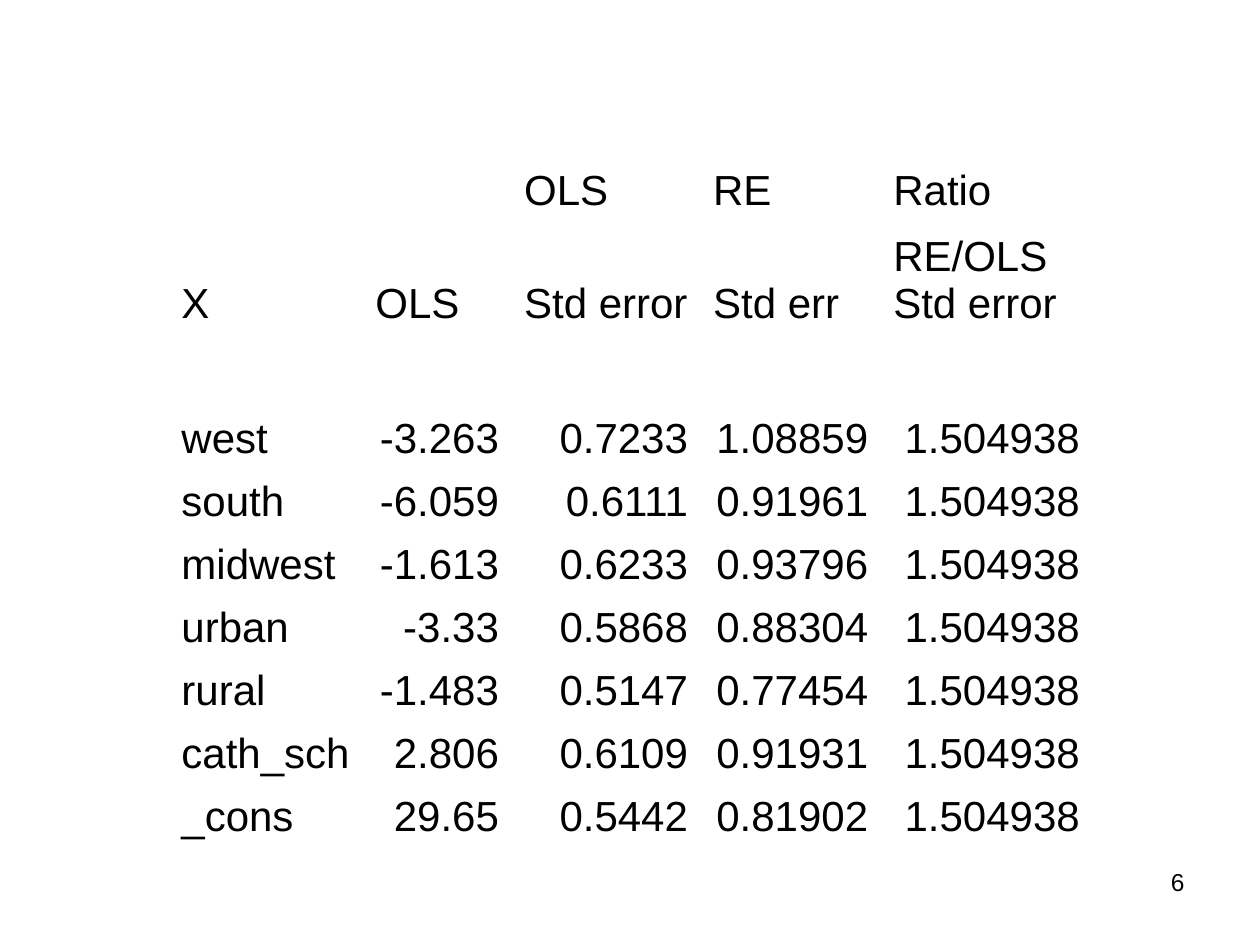
import pptx
import pptx.dml.color
import pptx.enum.text
import pptx.util

BLACK = pptx.dml.color.RGBColor(0x00, 0x00, 0x00)
LEFT = pptx.enum.text.PP_ALIGN.LEFT
RIGHT = pptx.enum.text.PP_ALIGN.RIGHT

COLUMN_SHARES = [15.4, 11.8, 15, 14.3, 16.8]
ROW_SHARES = [7.6, 12, 7.6] + [6.67] * 7
HEADINGS = [
    ["", "", "OLS", "RE", "Ratio"],
    ["X", "OLS", "Std error", "Std err", "RE/OLS\nStd error"],
    [""] * 5,
]
RATIO = "1.504938"
ESTIMATES = [
    ["west", "-3.263", "0.7233", "1.08859", RATIO],
    ["south", "-6.059", "0.6111", "0.91961", RATIO],
    ["midwest", "-1.613", "0.6233", "0.93796", RATIO],
    ["urban", "-3.33", "0.5868", "0.88304", RATIO],
    ["rural", "-1.483", "0.5147", "0.77454", RATIO],
    ["cath_sch", "2.806", "0.6109", "0.91931", RATIO],
    ["_cons", "29.65", "0.5442", "0.81902", RATIO],
]


class SlideBuilder:
    """Places elements by percentages of the slide's width and height."""

    font_name = "Arial"
    color = BLACK

    def __init__(self, presentation):
        self.width = presentation.slide_width
        self.height = presentation.slide_height
        self.slide = presentation.slides.add_slide(presentation.slide_layouts[6])

    def across(self, share):
        return round(self.width * share / 100)

    def down(self, share):
        return round(self.height * share / 100)

    def fill_frame(self, frame, text, size, alignment):
        frame.text = text
        font_format = {"name": self.font_name, "size": pptx.util.Pt(size)}
        for paragraph in frame.paragraphs:
            paragraph.alignment = alignment
            for run in paragraph.runs:
                for attribute, value in font_format.items():
                    setattr(run.font, attribute, value)
                run.font.color.rgb = self.color

    def text(self, left, top, width, height, text, size, alignment):
        box = self.slide.shapes.add_textbox(
            self.across(left), self.down(top), self.across(width), self.down(height))
        box.text_frame.word_wrap = True
        self.fill_frame(box.text_frame, text, size, alignment)

    def table(self, left, top, column_shares, row_shares, headings, body, size):
        """Headings and row names align left, the body's numbers right."""
        rows = headings + body
        table = self.slide.shapes.add_table(
            len(rows), len(column_shares), self.across(left), self.down(top),
            self.across(sum(column_shares)), self.down(sum(row_shares))).table
        for flag, value in {"first_row": False, "horz_banding": False}.items():
            setattr(table, flag, value)
        for column, share in zip(table.columns, column_shares):
            column.width = self.across(share)
        for row, share in zip(table.rows, row_shares):
            row.height = self.down(share)
        for row_index, values in enumerate(rows):
            for column_index, value in enumerate(values):
                cell = table.cell(row_index, column_index)
                cell.fill.background()
                cell.vertical_anchor = pptx.enum.text.MSO_ANCHOR.BOTTOM
                is_number = row_index >= len(headings) and column_index > 0
                self.fill_frame(cell.text_frame, value, size, RIGHT if is_number else LEFT)


def main():
    presentation = pptx.Presentation()
    presentation.slide_width = pptx.util.Inches(10)
    presentation.slide_height = pptx.util.Inches(7.5)

    builder = SlideBuilder(presentation)
    builder.text(71.7, 91.07, 23.3, 6.93, "6", 14, RIGHT)
    builder.table(13.4, 15.73, COLUMN_SHARES, ROW_SHARES, HEADINGS, ESTIMATES, 24)
    presentation.save("out.pptx")


if __name__ == "__main__":
    main()
